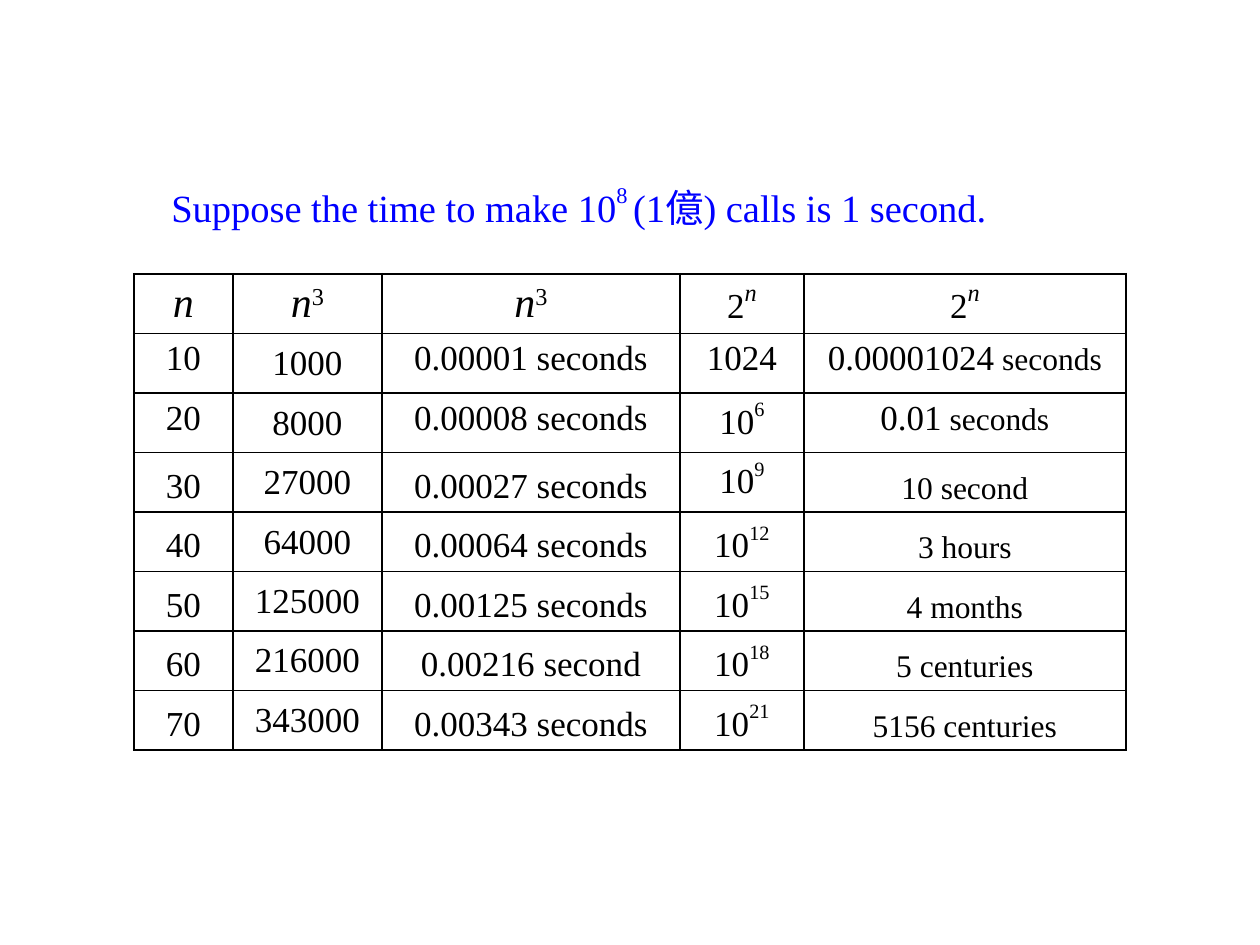
from lxml.etree import SubElement
from pptx import Presentation
from pptx.dml.color import RGBColor
from pptx.enum.text import MSO_ANCHOR, PP_ALIGN
from pptx.oxml.ns import qn
from pptx.util import Inches, Pt

FONT = "Times New Roman"
COLORS = {"text": "000000", "title": "0000FF", "line": "000000", "fill": "FFFFFF"}
COLS = [99, 149, 298, 124, 322]
HEADS = [
    [("n", 24, 0, True)],
    [("n", 24, 0, True), ("3", 24, 30, False)],
    [("n", 24, 0, True), ("3", 24, 30, False)],
    [("2", 20, 0, False), ("n", 24, 42, True)],
    [("2", 20, 0, False), ("n", 24, 42, True)],
]
ROWS = [
    ["10", "1000", "0.00001 seconds", "1024", "0.00001024 seconds"],
    ["20", "8000", "0.00008 seconds", "10^6", "0.01 seconds"],
    ["30", "27000", "0.00027 seconds", "10^9", "10 second"],
    ["40", "64000", "0.00064 seconds", "10^12", "3 hours"],
    ["50", "125000", "0.00125 seconds", "10^15", "4 months"],
    ["60", "216000", "0.00216 second", "10^18", "5 centuries"],
    ["70", "343000", "0.00343 seconds", "10^21", "5156 centuries"],
]


def px(num):
    """Turn pixels into EMU."""
    return round(num * Inches(1) / 126)


def write(para, parts, color):
    """Add runs given as text, size, superscript lift and italic."""
    for text, size, lift, slant in parts:
        run = para.add_run()
        run.text = text
        font = run.font
        font.name, font.size, font.italic = FONT, Pt(size), slant
        font.color.rgb = RGBColor.from_string(COLORS[color])
        if lift:
            font._element.set("baseline", str(lift * 1000))


def split(text, row, col):
    """Split the text of a body cell into runs."""
    if col == 4:
        if row > 2:
            return [(text, 18, 0, False)]
        num, unit = text.split(" ")
        return [(num, 20, 0, False), (" " + unit, 18, 0, False)]
    base, mark, power = text.partition("^")
    return [(base, 20, 0, False)] + ([(power, 20, 50, False)] if mark else [])


def place(row, col):
    """Give the anchor and the side, top and bottom insets of a cell."""
    if row == 0:
        return MSO_ANCHOR.MIDDLE, 13, 3, 3
    if col == 1:
        return MSO_ANCHOR.MIDDLE, 1, 1, 0
    high = row < 3 or (row, col) == (3, 3)
    return MSO_ANCHOR.TOP if high else MSO_ANCHOR.BOTTOM, 13, 6, 6


def edge(cell, row, col):
    """Draw cell borders, heavier on the outside of the table."""
    outer = {"L": col == 0, "R": col == len(COLS) - 1,
             "T": row == 0, "B": row == len(ROWS)}
    for side, heavy in outer.items():
        line = SubElement(cell._tc.get_or_add_tcPr(), qn("a:ln" + side))
        line.set("w", str(Pt(1.5 if heavy else 1)))
        fill = SubElement(line, qn("a:solidFill"))
        SubElement(fill, qn("a:srgbClr")).set("val", COLORS["line"])


def title(slide, left, top, width, height):
    """Write the assumption above the table."""
    box = slide.shapes.add_textbox(px(left), px(top), px(width), px(height))
    box.text_frame.word_wrap = True
    parts = [("Suppose the time to make 10", 22, 0, False),
             ("8 ", 22, 50, False),
             ("(1億) calls is 1 second.", 22, 0, False)]
    write(box.text_frame.paragraphs[0], parts, "title")


def times(slide, left, top, width, height):
    """Build the table of running times."""
    count = len(ROWS) + 1
    frame = slide.shapes.add_table(count, len(COLS), px(left), px(top), px(width), px(height))
    table = frame.table
    table.first_row = table.horz_banding = False
    for col, size in zip(table.columns, COLS):
        col.width = px(width * size / sum(COLS))
    for line in table.rows:
        line.height = px(height / count)
    body = [[split(text, row, col) for col, text in enumerate(line)]
            for row, line in enumerate(ROWS, 1)]
    for row, line in enumerate([HEADS] + body):
        for col, parts in enumerate(line):
            cell = table.cell(row, col)
            cell.vertical_anchor, side, above, below = place(row, col)
            cell.margin_left = cell.margin_right = px(side)
            cell.margin_top, cell.margin_bottom = px(above), px(below)
            para = cell.text_frame.paragraphs[0]
            para.alignment = PP_ALIGN.CENTER
            write(para, parts, "text")
            edge(cell, row, col)
            if row == 4:
                cell.fill.solid()
                cell.fill.fore_color.rgb = RGBColor.from_string(COLORS["fill"])
            else:
                cell.fill.background()


def main():
    """Build and save the slide."""
    deck = Presentation()
    deck.slide_width, deck.slide_height = px(1260), px(945)
    slide = deck.slides.add_slide(deck.slide_layouts[6])
    title(slide, 159, 175, 942, 59)
    times(slide, 134, 274, 992, 476)
    deck.save("out.pptx")


if __name__ == "__main__":
    main()
